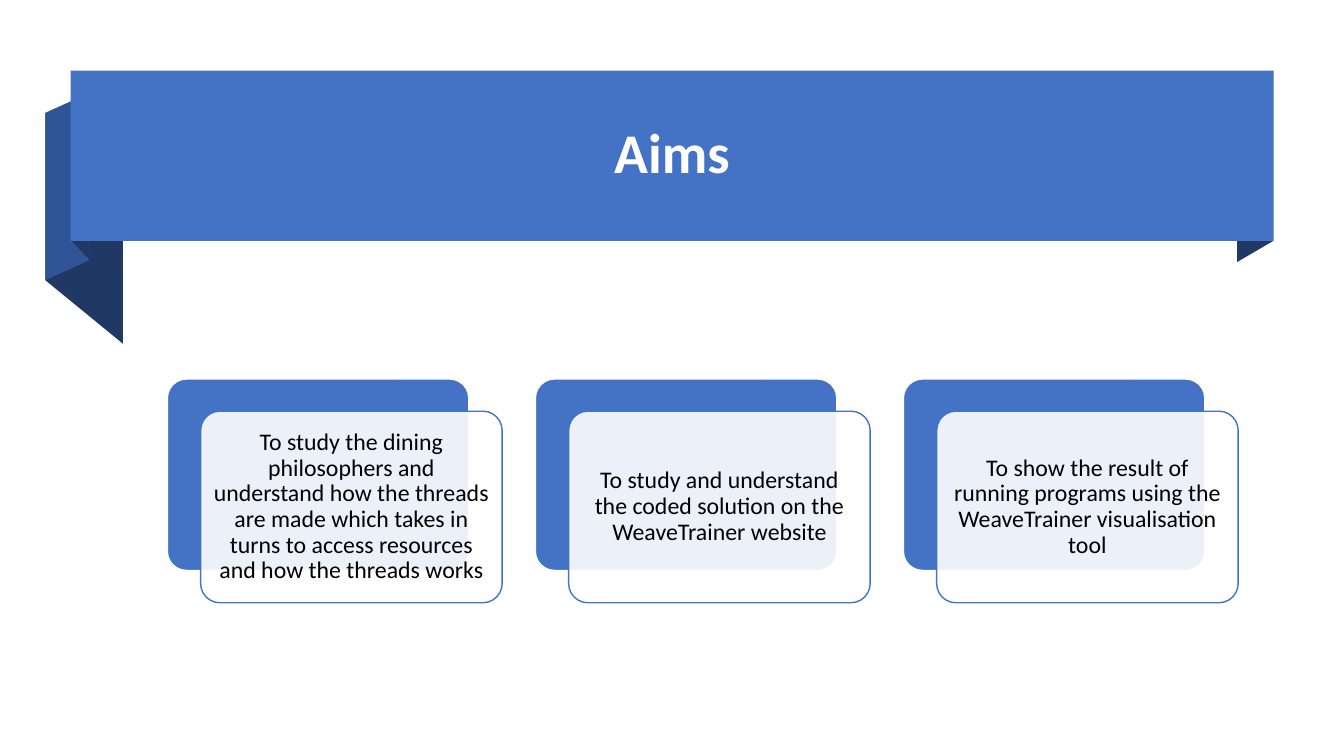
"""Build the Aims slide: a ribbon title above three layered cards."""
from lxml.etree import SubElement
from pptx import Presentation
from pptx.dml.color import RGBColor
from pptx.enum.shapes import MSO_SHAPE
from pptx.enum.text import MSO_ANCHOR, PP_ALIGN
from pptx.oxml.ns import qn
from pptx.util import Inches, Pt

BLUE = RGBColor(0x44, 0x72, 0xC4)
MID_BLUE = RGBColor(0x2F, 0x55, 0x97)
NAVY = RGBColor(0x20, 0x38, 0x64)
WHITE = RGBColor(0xFF, 0xFF, 0xFF)
BLACK = RGBColor(0, 0, 0)

FOLDS = [
    (0.45, 1.22, 1.12, 1.75, 1.66, NAVY),
    (0.45, 0.89, 1.12, 0.92, 1.66, MID_BLUE),
    (0.71, 0.89, 0.70, 0.89, 1.69, NAVY),
    (12.27, 12.63, 0.91, 0.70, 1.69, NAVY),
]
AIMS = [
    "To study the dining philosophers and understand how the threads are made "
    "which takes in turns to access resources and how the threads works",
    "To study and understand the coded solution on the WeaveTrainer website",
    "To show the result of running programs using the WeaveTrainer visualisation tool",
]
CARD_LEFT, CARD_TOP, CARD_PITCH = 1.66, 3.76, 3.65
CARD_W, CARD_H = 2.99, 1.9
CARD_SHIFT_X, CARD_SHIFT_Y = 0.33, 0.32


def style(sp, fill, line=None, alpha=None):
    """Set fill, outline and optional opacity in percent, without shadow."""
    sp.shadow.inherit = False
    sp.fill.solid()
    sp.fill.fore_color.rgb = fill
    if alpha is not None:
        color = sp.fill._xPr.find(qn("a:solidFill"))[0]
        SubElement(color, qn("a:alpha"), val=str(alpha * 1000))
    if line is None:
        sp.line.fill.background()
    else:
        sp.line.color.rgb = line
        sp.line.width = Pt(1)


def add_fold(s, left, right, left_top, right_top, height, color):
    """Draw a ribbon fold with upright sides and slanted ends."""
    corners = [
        (left, left_top),
        (right, right_top),
        (right, right_top + height),
        (left, left_top + height),
    ]
    points = [(Inches(x), Inches(y)) for x, y in corners]
    builder = s.shapes.build_freeform(*points[0])
    builder.add_line_segments(points[1:])
    style(builder.convert_to_shape(), color)


def add_box(s, kind, left, top, width, height, **look):
    """Draw a preset shape at a place given in inches."""
    sp = s.shapes.add_shape(
        kind, Inches(left), Inches(top), Inches(width), Inches(height)
    )
    style(sp, **look)
    return sp


def set_text(sp, text, size, color, bold=False, inset=0.1):
    """Write one centred paragraph in a shape."""
    tf = sp.text_frame
    tf.word_wrap = True
    tf.vertical_anchor = MSO_ANCHOR.MIDDLE
    tf.margin_left = tf.margin_right = Inches(inset)
    tf.margin_top = tf.margin_bottom = Inches(inset)
    p = tf.paragraphs[0]
    p.alignment = PP_ALIGN.CENTER
    p.line_spacing = 0.9
    r = p.add_run()
    r.text = text
    r.font.name = "Calibri"
    r.font.size = Pt(size)
    r.font.bold = bold
    r.font.color.rgb = color


def add_card(s, left, text):
    """Draw a blue card with a translucent text card shifted over it."""
    back = add_box(
        s, MSO_SHAPE.ROUNDED_RECTANGLE, left, CARD_TOP, CARD_W, CARD_H,
        fill=BLUE, line=WHITE,
    )
    front = add_box(
        s, MSO_SHAPE.ROUNDED_RECTANGLE, left + CARD_SHIFT_X,
        CARD_TOP + CARD_SHIFT_Y, CARD_W, CARD_H,
        fill=WHITE, line=BLUE, alpha=90,
    )
    for sp in (back, front):
        sp.adjustments[0] = 0.1
    set_text(front, text, size=17, color=BLACK, inset=0.07)


def main():
    """Build and save the slide."""
    prs = Presentation()
    prs.slide_width, prs.slide_height = Inches(13.33), Inches(7.5)
    s = prs.slides.add_slide(prs.slide_layouts[6])
    for fold in FOLDS:
        add_fold(s, *fold)
    banner = add_box(s, MSO_SHAPE.RECTANGLE, 0.7, 0.7, 11.93, 1.69, fill=BLUE)
    set_text(banner, "Aims", size=40, color=WHITE, bold=True)
    for i, aim in enumerate(AIMS):
        add_card(s, CARD_LEFT + i * CARD_PITCH, aim)
    prs.save("out.pptx")


if __name__ == "__main__":
    main()
